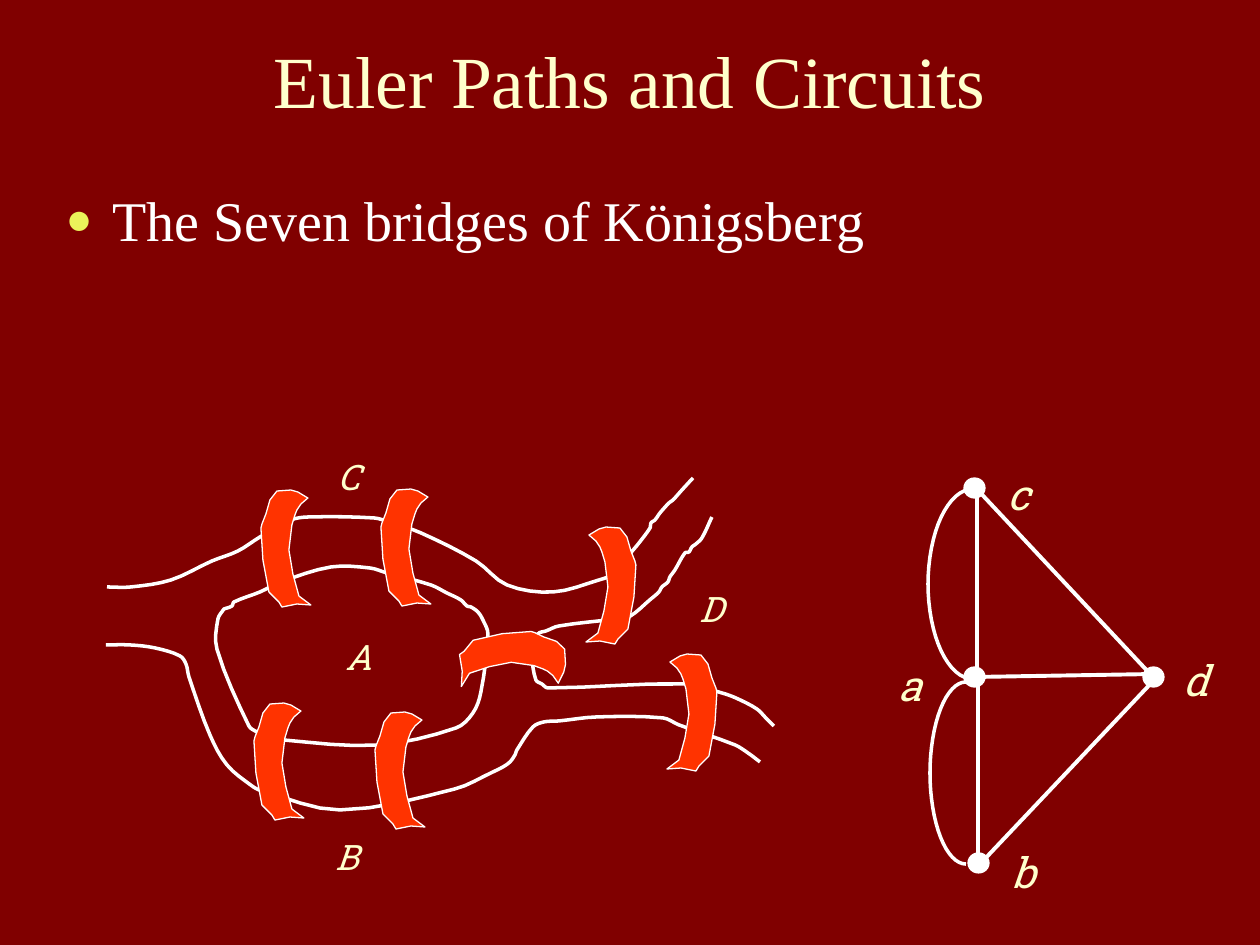
from dataclasses import dataclass
from math import cos, hypot, pi, sin

from lxml import etree
from pptx import Presentation
from pptx.dml import color
from pptx.enum import shapes, text
from pptx.oxml import ns
from pptx.util import Pt

PX = 914400 / 126
WHITE, CREAM, RED, MAROON, YELLOW = "FFFFFF", "FFFFCC", "FF3300", "800000", "EBF25A"
Points = list[tuple[float, float]]


@dataclass(frozen=True)
class Label:
    letter: str
    left: int
    top: int
    width: int
    height: int
    size: int


@dataclass(frozen=True)
class Bridge:
    left: int
    top: int
    width: int = 50
    height: int = 117
    mirrored: bool = False
    rotation: int = 0


@dataclass(frozen=True)
class QuarterArc:
    center_x: int
    center_y: int
    radius_x: int
    radius_y: int


EDGES = [
    ((973, 485), (1153, 677)),
    ((975, 677), (1157, 674)),
    ((978, 861), (978, 674)),
    ((977, 669), (977, 484)),
    ((1157, 677), (982, 862)),
]
VERTICES = [(964, 478), (964, 667), (1143, 667), (968, 853)]
LOOPS = [
    QuarterArc(973, 585, 45, -96),
    QuarterArc(973, 583, 45, 96),
    QuarterArc(966, 774, 36, -92),
    QuarterArc(966, 772, 36, 92),
]
VERTEX_LABELS = [
    Label("a", 886, 653, 50, 63, 24),
    Label("b", 999, 840, 50, 63, 24),
    Label("c", 995, 462, 46, 63, 24),
    Label("d", 1171, 648, 51, 63, 24),
]
LAND_LABELS = [
    Label("A", 333, 629, 49, 55, 20),
    Label("B", 323, 829, 50, 55, 20),
    Label("C", 325, 449, 50, 55, 20),
    Label("D", 687, 581, 50, 55, 20),
]
NORTH_BANK = [
    (107, 587), (131, 587), (171, 580), (212, 561), (238, 551), (260, 537), (267, 534),
    (291, 520), (309, 517), (374, 518), (389, 522), (421, 533), (476, 561), (507, 585),
    (553, 592), (599, 580), (612, 575), (619, 568), (625, 562), (630, 554), (639, 543),
    (650, 528), (651, 523), (655, 520), (660, 513), (669, 503), (673, 500), (682, 490),
    (693, 478),
]
ISLAND = [
    (224, 609), (232, 606), (234, 602), (260, 592), (281, 582), (331, 567), (370, 568),
    (387, 573), (431, 585), (447, 593), (461, 600), (467, 606), (471, 607), (478, 612),
    (483, 620), (488, 634), (481, 692), (473, 713), (456, 728), (378, 745), (284, 740),
    (263, 735), (257, 732), (249, 726), (217, 649), (218, 619), (224, 609),
]
SOUTH_BANK = [
    (106, 645), (130, 645), (155, 648), (180, 656), (186, 664), (189, 677), (210, 735),
    (227, 765), (252, 786), (262, 791), (340, 810), (455, 789), (493, 772), (503, 767),
    (510, 762), (515, 755), (517, 750), (533, 727), (544, 722), (559, 721), (597, 717),
    (663, 718), (679, 725), (735, 745), (748, 753), (760, 762),
]
EAST_BANK = [
    (712, 517), (702, 538), (696, 544), (692, 547), (689, 552), (685, 553), (675, 570),
    (670, 577), (668, 582), (662, 587), (659, 592), (651, 599), (629, 617), (616, 619),
    (559, 626), (546, 631), (538, 634), (534, 648), (532, 656), (536, 680), (542, 684),
    (548, 688), (685, 684), (722, 693), (736, 698), (757, 709), (766, 718), (774, 726),
]
BRIDGE_OUTLINE = [
    (16, 1), (9, 10), (5, 24), (1, 34), (0, 38), (2, 70), (8, 102), (18, 112), (21, 117),
    (36, 114), (50, 115), (38, 106), (32, 84), (28, 60), (31, 35), (34, 25), (36, 20),
    (40, 14), (47, 8), (37, 2), (30, 0), (16, 1),
]
BRIDGES = [
    Bridge(261, 490),
    Bridge(381, 489),
    Bridge(254, 703),
    Bridge(375, 712),
    Bridge(485, 606, 55, 106, rotation=90),
    Bridge(586, 527, mirrored=True),
    Bridge(667, 654, mirrored=True),
]


def px(length: float) -> int:
    return round(length * PX)


def rgb(code: str) -> color.RGBColor:
    return color.RGBColor.from_string(code)


def place(shape, *box: int) -> None:
    for side, length in zip(("left", "top", "width", "height"), box):
        setattr(shape, side, px(length))


def write(frame, words: str, ink: str, **formats):
    frame.auto_size = text.MSO_AUTO_SIZE.NONE
    paragraph = frame.paragraphs[0]
    paragraph.text = words
    paragraph.space_before = Pt(0)
    for name, value in formats.items():
        setattr(paragraph.font, name, value)
    paragraph.font.color.rgb = rgb(ink)
    return paragraph


def add_bullet(paragraph) -> None:
    properties = paragraph._p.get_or_add_pPr()
    properties.set("marL", str(px(47)))
    properties.set("indent", str(px(-47)))
    tint = etree.SubElement(properties, ns.qn("a:buClr"))
    etree.SubElement(tint, ns.qn("a:srgbClr"), val=YELLOW)
    etree.SubElement(properties, ns.qn("a:buSzPct"), val="80000")
    etree.SubElement(properties, ns.qn("a:buChar"), char="●")


def smooth(anchors: Points, steps: int = 4) -> Points:
    padded = [anchors[0], *anchors, anchors[-1]]
    tangents = []
    for (x0, y0), (x1, y1) in zip(padded, padded[2:]):
        reach = hypot(x1 - x0, y1 - y0)
        tangents.append(((x1 - x0) / reach, (y1 - y0) / reach))
    curve = [anchors[0]]
    for start, end, leave, arrive in zip(anchors, anchors[1:], tangents, tangents[1:]):
        span = hypot(end[0] - start[0], end[1] - start[1])
        for step in range(1, steps + 1):
            t = step / steps
            weights = (2 * t**3 - 3 * t**2 + 1, 3 * t**2 - 2 * t**3,
                       span * (t**3 - 2 * t**2 + t), span * (t**3 - t**2))
            curve.append(tuple(
                sum(w * value[axis] for w, value in zip(weights, (start, end, leave, arrive)))
                for axis in (0, 1)
            ))
    return curve


def draw_outline(slide, points: Points, width: float, fill: str | None = None, close=False):
    corners = [(px(x), px(y)) for x, y in points]
    builder = slide.shapes.build_freeform(*corners[0], scale=1.0)
    builder.add_line_segments(corners[1:], close=close)
    shape = builder.convert_to_shape()
    paint(shape, width, fill)
    return shape


def paint(shape, width: float, fill: str | None) -> None:
    shape.shadow.inherit = False
    if fill:
        shape.fill.solid()
        shape.fill.fore_color.rgb = rgb(fill)
    else:
        shape.fill.background()
    shape.line.color.rgb = rgb(WHITE)
    shape.line.width = Pt(width)


def draw_edge(slide, start: tuple[int, int], end: tuple[int, int]) -> None:
    ends = [px(value) for value in (*start, *end)]
    edge = slide.shapes.add_connector(shapes.MSO_CONNECTOR.STRAIGHT, *ends)
    edge.line.color.rgb = rgb(WHITE)
    edge.line.width = Pt(2.25)
    etree.SubElement(edge._element.spPr, ns.qn("a:effectLst"))


def draw_vertex(slide, left: int, top: int) -> None:
    box = [px(value) for value in (left, top, 21, 20)]
    paint(slide.shapes.add_shape(shapes.MSO_SHAPE.OVAL, *box), 0.75, WHITE)


def draw_loop(slide, arc: QuarterArc) -> None:
    angles = [pi / 2 * step / 16 for step in range(17)]
    draw_outline(slide, [(arc.center_x - arc.radius_x * sin(a),
                          arc.center_y + arc.radius_y * cos(a)) for a in angles], 2)


def draw_bridge(slide, bridge: Bridge) -> None:
    outline = [(50 - x if bridge.mirrored else x, y) for x, y in BRIDGE_OUTLINE]
    shape = draw_outline(slide, outline, 0.75, RED, close=True)
    place(shape, bridge.left, bridge.top, bridge.width, bridge.height)
    shape.rotation = bridge.rotation


def draw_label(slide, label: Label) -> None:
    box = [px(value) for value in (label.left, label.top, label.width, label.height)]
    frame = slide.shapes.add_textbox(*box).text_frame
    frame.word_wrap = False
    write(frame, label.letter, CREAM, size=Pt(label.size), name="Roboto Slab", italic=True)


def main() -> None:
    deck = Presentation()
    deck.slide_width, deck.slide_height = px(1260), px(945)
    slide = deck.slides.add_slide(deck.slide_layouts[1])
    slide.background.fill.solid()
    slide.background.fill.fore_color.rgb = rgb(MAROON)

    title, topic = slide.placeholders
    place(title, 63, 21, 1134, 116)
    title.text_frame.vertical_anchor = text.MSO_ANCHOR.MIDDLE
    heading = write(title.text_frame, "Euler Paths and Circuits", CREAM,
                    size=Pt(42), name="Times New Roman")
    heading.alignment = text.PP_ALIGN.CENTER
    place(topic, 53, 179, 1124, 221)
    add_bullet(topic.text_frame.paragraphs[0])
    write(topic.text_frame, "The Seven bridges of Königsberg", WHITE,
          size=Pt(32), name="Times New Roman")

    for start, end in EDGES:
        draw_edge(slide, start, end)
    for left, top in VERTICES:
        draw_vertex(slide, left, top)
    for arc in LOOPS:
        draw_loop(slide, arc)
    for bank in (NORTH_BANK, ISLAND, SOUTH_BANK, EAST_BANK):
        draw_outline(slide, smooth(bank), 2, close=bank is ISLAND)
    for bridge in BRIDGES:
        draw_bridge(slide, bridge)
    for label in VERTEX_LABELS + LAND_LABELS:
        draw_label(slide, label)
    deck.save("out.pptx")


if __name__ == "__main__":
    main()
